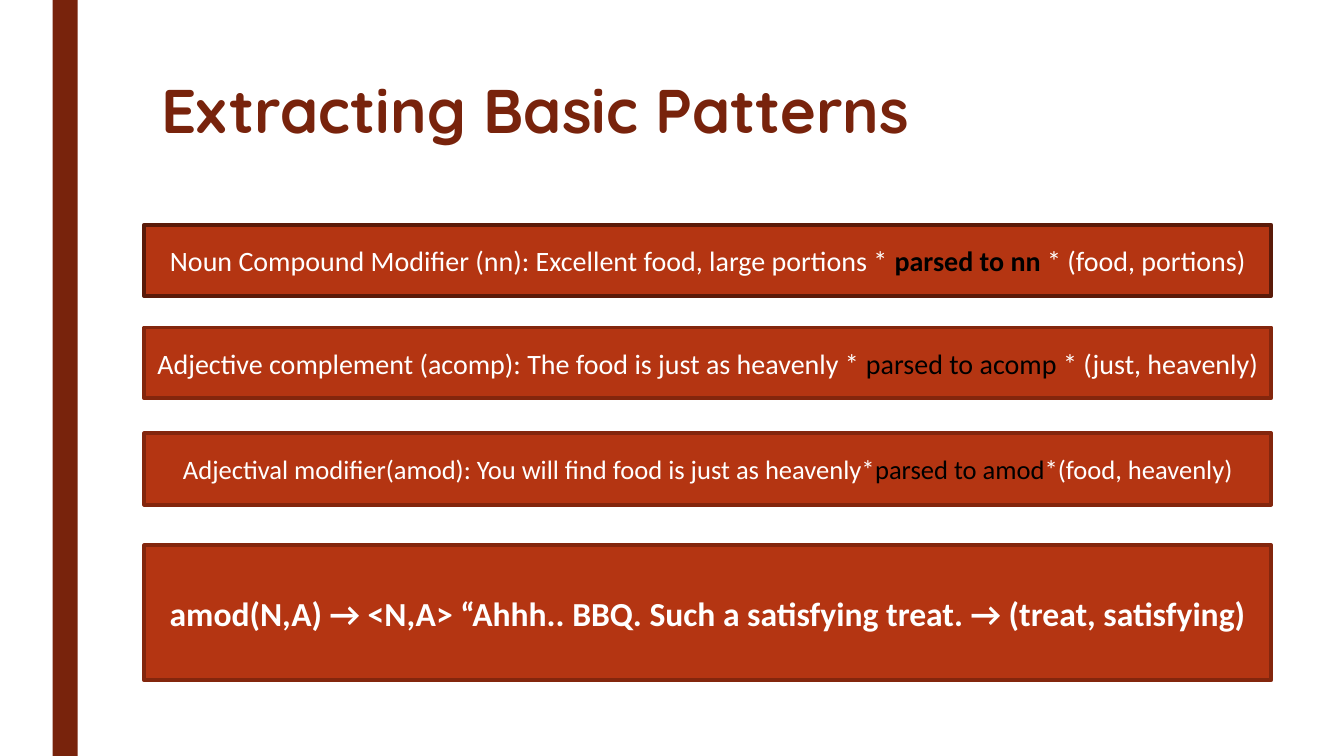
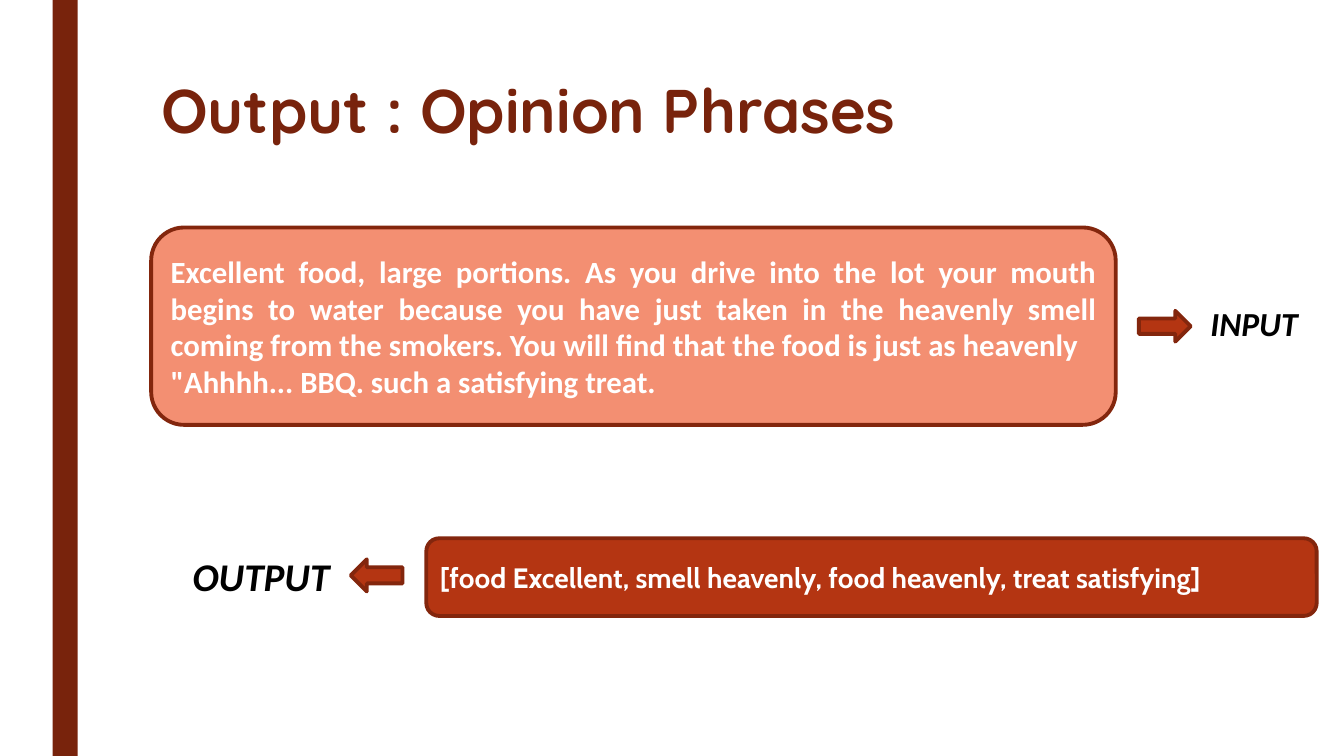
from dataclasses import dataclass

from lxml.etree import SubElement
from pptx import Presentation
from pptx.dml.color import RGBColor
from pptx.enum.shapes import MSO_SHAPE
from pptx.enum.text import MSO_ANCHOR, PP_ALIGN
from pptx.util import Pt


@dataclass(frozen=True)
class Theme:
    dark: RGBColor = RGBColor.from_string("78230C")
    rust: RGBColor = RGBColor.from_string("B43512")
    edge: RGBColor = RGBColor.from_string("83260D")
    deep: RGBColor = RGBColor.from_string("5A1A09")
    peach: RGBColor = RGBColor.from_string("F38F72")
    white: RGBColor = RGBColor.from_string("FFFFFF")
    black: RGBColor = RGBColor.from_string("000000")
    head: str = "Quicksand"
    body: str = "Calibri"
    alt: str = "Cabin"
    title: int = 44
    output: int = 28
    large: int = 24
    input: int = 22
    text: int = 20
    small: int = 19
    line: float = 2.75


THEME = Theme()

# top, height, size, line colour, bold, text, parsed part, result
ROWS = [
    (160.5, 51, THEME.text, THEME.deep, False,
     ("Noun Compound Modifier (nn): Excellent food, large portions * ",
      "parsed to nn ", "* (food, portions)")),
    (234, 50.5, THEME.text, THEME.edge, False,
     ("Adjective complement (acomp): The food is just as heavenly * ",
      "parsed to acomp ", "* (just, heavenly)")),
    (309.5, 51, THEME.small, THEME.edge, False,
     ("Adjectival modifier(amod): You will find food is just as heavenly*",
      "parsed to amod", "*(food, heavenly)")),
    (389.5, 96.5, THEME.large, THEME.edge, True,
     ("amod(N,A) → <N,A> “Ahhh.. BBQ. Such a satisfying treat. "
      "→ (treat, satisfying)",)),
]

REVIEW = [
    "Excellent food, large portions. As you drive into the lot your mouth "
    "begins to water because you have just taken in the heavenly smell "
    "coming from the smokers. You will find that the food is just as heavenly",
    '"Ahhhh... BBQ. such a satisfying treat.',
]


def style(para, size, color, name=THEME.body, bold=True, italic=False):
    font = para.font
    font.name, font.size, font.bold, font.italic = name, Pt(size), bold, italic
    font.color.rgb = color


def add_box(slide, kind, area, fill=THEME.rust, line=THEME.edge):
    """Add a filled shape without shadow; a line of None leaves it unlined."""
    box = slide.shapes.add_shape(kind, *map(Pt, area))
    box.shadow.inherit = False
    box.fill.solid()
    box.fill.fore_color.rgb = fill
    if line is None:
        box.line.fill.background()
    else:
        box.line.color.rgb = line
        box.line.width = Pt(THEME.line)
    frame = box.text_frame
    frame.word_wrap = True
    frame.vertical_anchor = MSO_ANCHOR.MIDDLE
    return box


def add_label(slide, area, text, size, **look):
    frame = slide.shapes.add_textbox(*map(Pt, area)).text_frame
    frame.word_wrap = True
    para = frame.paragraphs[0]
    para.text = text
    style(para, size, **look)
    return para


def add_row(slide, top, height, size, line, bold, parts):
    """Add a centred bar whose second part, if any, is black."""
    box = add_box(slide, MSO_SHAPE.RECTANGLE, (103, top, 805, height), line=line)
    para = box.text_frame.paragraphs[0]
    para.alignment = PP_ALIGN.CENTER
    style(para, size, THEME.white, bold=bold)
    for i, part in enumerate(parts):
        run = para.add_run()
        run.text = part
        if i == 1:
            run.font.color.rgb = THEME.black
            run.font.bold = line == THEME.deep


def add_panel(slide, area, texts, size, name, align, fill):
    frame = add_box(slide, MSO_SHAPE.ROUNDED_RECTANGLE, area, fill).text_frame
    frame.text = "\n".join(texts)
    for para in frame.paragraphs:
        para.alignment = align
        style(para, size, THEME.white, name)


def add_slide(deck, title):
    """Start a slide with the side band and the title."""
    slide = deck.slides.add_slide(deck.slide_layouts[6])
    add_box(slide, MSO_SHAPE.RECTANGLE, (37.5, 0, 18, 540), THEME.dark, None)
    para = add_label(slide, (108, 54, 756, 60), title, THEME.title,
                     color=THEME.dark, name=THEME.head)
    para.line_spacing = 0.89
    return slide


def add_rules(deck):
    slide = add_slide(deck, "Extracting Basic Patterns")
    for row in ROWS:
        add_row(slide, *row)


def add_phrases(deck):
    slide = add_slide(deck, "Output : Opinion Phrases")
    add_panel(slide, (108, 162.5, 689, 141), REVIEW, THEME.input,
              THEME.body, PP_ALIGN.JUSTIFY, THEME.peach)
    add_panel(slide, (304.5, 384.5, 636, 55.5),
              ["[food Excellent, smell heavenly, food heavenly, treat satisfying]"],
              THEME.text, THEME.alt, PP_ALIGN.LEFT, THEME.rust)
    add_box(slide, MSO_SHAPE.RIGHT_ARROW, (813.5, 222, 37, 22))
    add_box(slide, MSO_SHAPE.LEFT_ARROW, (250.5, 399.5, 37, 23))
    for area, text, size in [
        ((857.5, 213, 88, 40), "INPUT", THEME.large),
        ((130.5, 391, 127, 40), "OUTPUT", THEME.output),
    ]:
        add_label(slide, area, text, size, color=THEME.black, italic=True)


def main():
    deck = Presentation()
    deck.slide_width, deck.slide_height = Pt(960), Pt(540)
    add_rules(deck)
    add_phrases(deck)
    deck.save("out.pptx")


if __name__ == "__main__":
    main()
